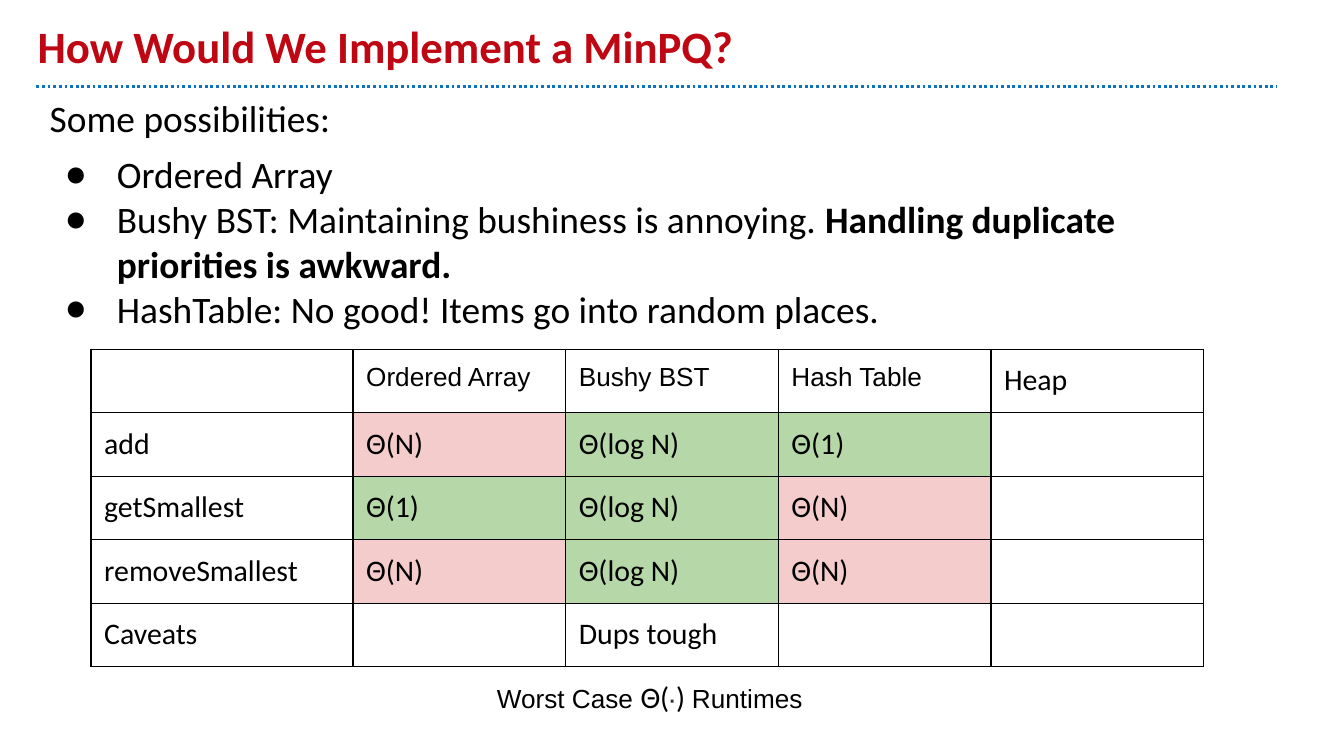
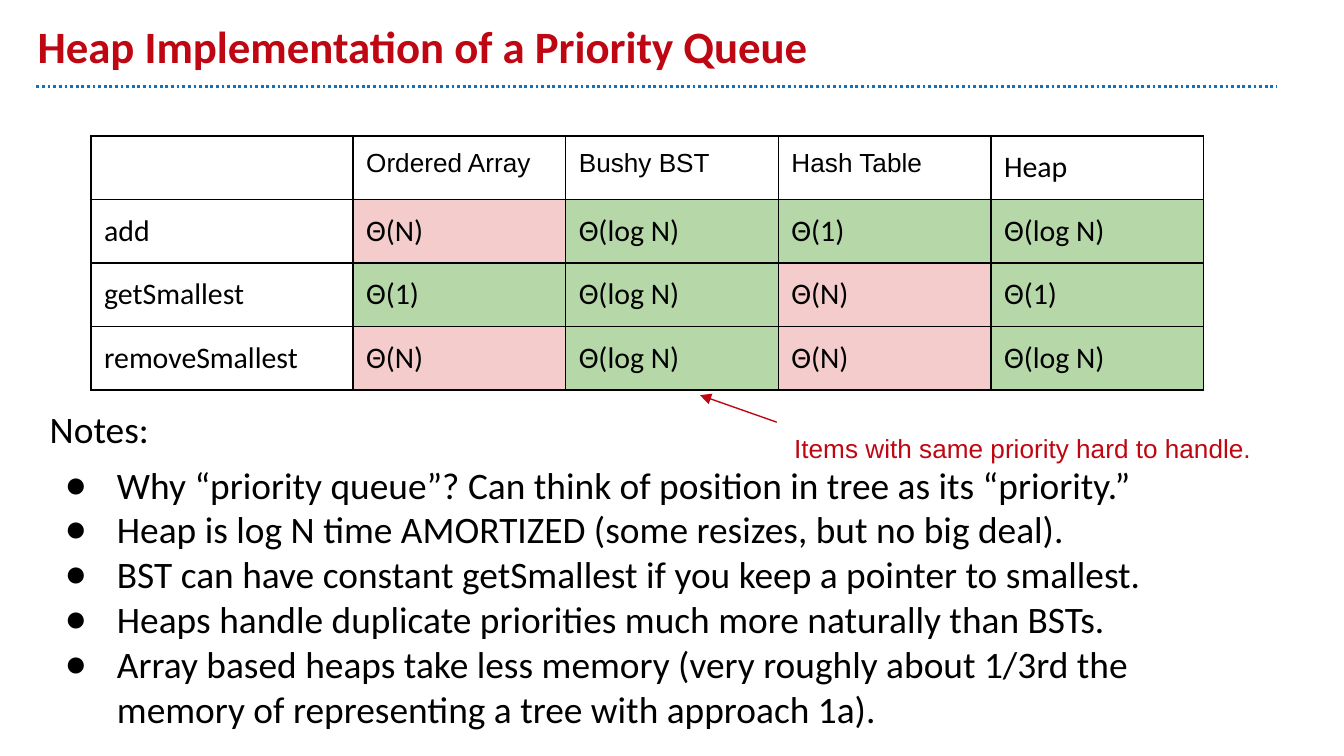
from lxml import etree
from pptx import Presentation
from pptx.dml.color import RGBColor
from pptx.enum import dml, shapes, text
from pptx.oxml import ns
from pptx.util import Cm, Pt

RED = RGBColor(0xBE, 0x07, 0x12)
BLUE = RGBColor(0x10, 0x72, 0xBD)
BLACK = RGBColor(0, 0, 0)
GREY = RGBColor(0x33, 0x33, 0x33)
WHITE = RGBColor(0xFF, 0xFF, 0xFF)
GOOD = RGBColor(0xB6, 0xD7, 0xA8)
BAD = RGBColor(0xF4, 0xCC, 0xCC)
COST_FILLS = {"Θ(1)": GOOD, "Θ(log N)": GOOD, "Θ(N)": BAD}

MARGIN = Cm(0.25)
SMALL = dict(font="Arial", size=14)
CELL = dict(font="Calibri", size=16)
BODY = dict(font="Calibri", size=20)

HEADINGS = ["", "Ordered Array", "Bushy BST", "Hash Table", "Heap"]
RUNTIMES = [
    ["add", "Θ(N)", "Θ(log N)", "Θ(1)"],
    ["getSmallest", "Θ(1)", "Θ(log N)", "Θ(N)"],
    ["removeSmallest", "Θ(N)", "Θ(log N)", "Θ(N)"],
]
HEAP_RUNTIMES = ["Θ(log N)", "Θ(1)", "Θ(log N)"]


def write(paragraph, words, font="Calibri", size=16, color=BLACK, bold=False):
    """Append one formatted run to a paragraph."""
    run = paragraph.add_run()
    run.text = words
    run.font.name, run.font.size, run.font.bold = font, Pt(size), bold
    run.font.color.rgb = color


def add_xml(parent, tag, **attributes):
    return etree.SubElement(parent, ns.qn(tag), attributes)


def set_margins(holder):
    holder.margin_left = holder.margin_right = MARGIN
    holder.margin_top = holder.margin_bottom = MARGIN


class Deck:
    def __init__(self):
        self.prs = Presentation()
        self.prs.slide_width, self.prs.slide_height = Cm(25.4), Cm(14.29)
        self.slide = None

    def frame(self, shape, anchor=text.MSO_ANCHOR.TOP):
        """Prepare the text frame of a shape and return it."""
        frame = shape.text_frame
        frame.word_wrap = True
        frame.auto_size = text.MSO_AUTO_SIZE.NONE
        frame.vertical_anchor = anchor
        set_margins(frame)
        return frame

    def place(self, shape, left, top, width, height):
        shape.left, shape.top = Cm(left), Cm(top)
        shape.width, shape.height = Cm(width), Cm(height)

    def new_slide(self, title):
        self.slide = self.prs.slides.add_slide(self.prs.slide_layouts[1])
        heading = self.slide.shapes.title
        self.place(heading, 0.46, 0.25, 22.86, 1.37)
        paragraph = self.frame(heading, text.MSO_ANCHOR.BOTTOM).paragraphs[0]
        paragraph.alignment = text.PP_ALIGN.LEFT
        write(paragraph, title, size=24, color=RED, bold=True)
        rule = self.line((0.69, 1.63), (24.13, 1.63), BLUE, 1.5)
        rule.line.dash_style = dml.MSO_LINE.ROUND_DOT

    def line(self, start, end, color, width):
        line = self.slide.shapes.add_connector(
            shapes.MSO_CONNECTOR.STRAIGHT, *map(Cm, start + end))
        line.line.color.rgb, line.line.width = color, Pt(width)
        add_xml(line._element.spPr, "a:effectLst")
        return line

    def arrow(self, start, end, color, width=0.75):
        arrow = self.line(start, end, color, width)
        add_xml(arrow.line._get_or_add_ln(), "a:tailEnd", type="triangle")

    def body(self, top, height, intro, bullets):
        """Fill the body placeholder; each bullet is a plain and a bold part."""
        body = self.slide.placeholders[1]
        self.place(body, 0.69, top, 23.44, height)
        frame = self.frame(body)
        for i, (plain, strong) in enumerate([(intro, "")] + bullets):
            paragraph = frame.add_paragraph() if i else frame.paragraphs[0]
            paragraph.space_before = Pt(6 if i < 2 else 0)
            write(paragraph, plain, **BODY)
            if strong:
                write(paragraph, strong, bold=True, **BODY)
            self.bullet(paragraph, "●" if i else None)

    def bullet(self, paragraph, mark):
        props = paragraph._p.get_or_add_pPr()
        props.set("marL", str(Cm(1.27) if mark else 0))
        props.set("indent", str(Cm(-0.99) if mark else 0))
        if mark:
            color = add_xml(props, "a:buClr")
            add_xml(color, "a:srgbClr", val=str(BLACK))
            add_xml(props, "a:buChar", char=mark)
        else:
            add_xml(props, "a:buNone")

    def label(self, left, top, width, height, *runs):
        box = self.slide.shapes.add_textbox(*map(Cm, (left, top, width, height)))
        paragraph = self.frame(box).paragraphs[0]
        for words, style in runs:
            write(paragraph, words, **style)

    def runtime_table(self, top, rows):
        rows = [HEADINGS] + rows
        widths = [4.95] + [4.02] * 4
        row_height = 1.2
        table = self.slide.shapes.add_table(
            len(rows), len(widths), Cm(1.72), Cm(top),
            Cm(sum(widths)), Cm(row_height * len(rows))).table
        table.first_row = table.horz_banding = False
        for column, width in zip(table.columns, widths):
            column.width = Cm(width)
        for r, row in enumerate(rows):
            table.rows[r].height = Cm(row_height)
            for c, words in enumerate(row):
                small = r == 0 and words != "Heap"
                self.cell(table.cell(r, c), words, SMALL if small else CELL)

    def cell(self, cell, words, style):
        props = cell._tc.get_or_add_tcPr()
        for side in "LRTB":
            border = add_xml(props, f"a:ln{side}", w=str(Pt(0.75)))
            add_xml(add_xml(border, "a:solidFill"), "a:srgbClr", val=str(BLACK))
        cell.fill.solid()
        cell.fill.fore_color.rgb = COST_FILLS.get(words, WHITE)
        if words:
            set_margins(cell)
            write(cell.text_frame.paragraphs[0], words, **style)


def main():
    deck = Deck()

    # Candidate structures, heap column still open
    deck.new_slide("How Would We Implement a MinPQ?")
    deck.body(1.55, 10.95, "Some possibilities:", [
        ("Ordered Array", ""),
        ("Bushy BST: Maintaining bushiness is annoying. ",
         "Handling duplicate priorities is awkward."),
        ("HashTable: No good! Items go into random places.", ""),
    ])
    caveats = ["Caveats", "", "Dups tough", "", ""]
    deck.runtime_table(6.6, [row + [""] for row in RUNTIMES] + [caveats])
    deck.label(9.14, 12.57, 6.53, 1.52,
               ("Worst Case ", SMALL), ("Θ(", CELL),
               ("·", dict(font="Arial", size=11, color=GREY, bold=True)),
               (") ", CELL), ("Runtimes", SMALL))

    # Heap column filled in, with notes
    deck.new_slide("Heap Implementation of a Priority Queue")
    notes = [
        "Why “priority queue”? Can think of position in tree as its “priority.”",
        "Heap is log N time AMORTIZED (some resizes, but no big deal).",
        "BST can have constant getSmallest if you keep a pointer to smallest.",
        "Heaps handle duplicate priorities much more naturally than BSTs.",
        "Array based heaps take less memory (very roughly about 1/3rd the "
        "memory of representing a tree with approach 1a).",
    ]
    deck.body(7.42, 6.25, "Notes:", [(note, "") for note in notes])
    deck.runtime_table(2.57, [row + [heap] for row, heap
                              in zip(RUNTIMES, HEAP_RUNTIMES)])
    deck.arrow((14.68, 7.98), (13.23, 7.47), RED)
    deck.label(14.76, 7.92, 9.73, 1.09,
               ("Items with same priority hard to handle.", dict(SMALL, color=RED)))

    deck.prs.save("out.pptx")


if __name__ == "__main__":
    main()
